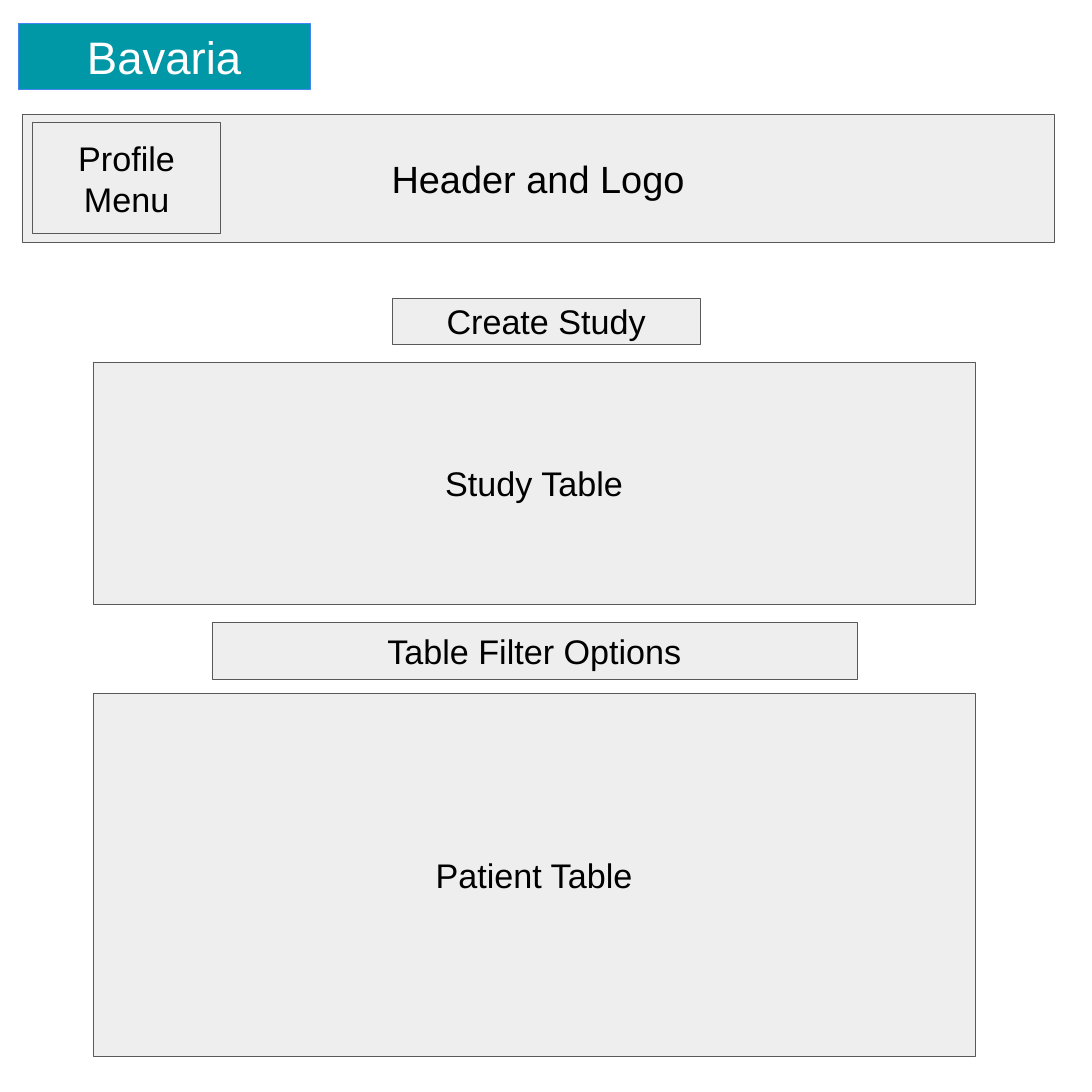
from pptx import Presentation
from pptx.dml.color import RGBColor
from pptx.enum.shapes import MSO_SHAPE
from pptx.enum.text import MSO_ANCHOR, MSO_AUTO_SIZE, PP_ALIGN
from pptx.util import Cm, Pt

SIDE = 50.8
TABLE_LEFT, TABLE_WIDTH = 4.32, 41.05


def color(hex_string):
    return RGBColor.from_string(hex_string)


def add_box(slide, text, left, top, width, height, size=45,
            fill="EEEEEE", line="595959", font_color="000000"):
    """Add a bordered rectangle with a centred label."""
    shape = slide.shapes.add_shape(
        MSO_SHAPE.RECTANGLE, Cm(left), Cm(top), Cm(width), Cm(height))
    shape.shadow.inherit = False
    shape.fill.solid()
    shape.fill.fore_color.rgb = color(fill)
    shape.line.color.rgb = color(line)
    shape.line.width = Pt(0.75)

    frame = shape.text_frame
    frame.word_wrap = True
    frame.vertical_anchor = MSO_ANCHOR.MIDDLE
    frame.margin_left = frame.margin_right = Cm(0.25)
    frame.margin_top = frame.margin_bottom = Cm(0.25)

    paragraph = frame.paragraphs[0]
    paragraph.text = text
    paragraph.alignment = PP_ALIGN.CENTER
    paragraph.font.name = "Arial"
    paragraph.font.size = Pt(size)
    paragraph.font.color.rgb = color(font_color)
    return shape


def add_title(slide, text):
    """Add the coloured title, which grows with its text."""
    shape = add_box(slide, text, 0.84, 1.09, 13.59, 3.07, size=60,
                    fill="0097A7", line="4285F4", font_color="FFFFFF")
    shape.text_frame.vertical_anchor = MSO_ANCHOR.TOP
    shape.text_frame.auto_size = MSO_AUTO_SIZE.SHAPE_TO_FIT_TEXT


def main():
    presentation = Presentation()
    presentation.slide_width = presentation.slide_height = Cm(SIDE)
    slide = presentation.slides.add_slide(presentation.slide_layouts[6])

    # Title and page header
    add_title(slide, "Bavaria")
    add_box(slide, "Header and Logo", 1.02, 5.31, 48.03, 5.97, size=50)
    add_box(slide, "Profile Menu", 1.52, 5.69, 8.74, 5.18)

    # Study section
    add_box(slide, "Create Study", 18.24, 13.89, 14.33, 2.11)
    add_box(slide, "Study Table", TABLE_LEFT, 16.84, TABLE_WIDTH, 11.25)

    # Patient section
    add_box(slide, "Table Filter Options", 9.86, 28.93, 30, 2.69)
    add_box(slide, "Patient Table", TABLE_LEFT, 32.26, TABLE_WIDTH, 16.89)

    presentation.save("out.pptx")


if __name__ == "__main__":
    main()
